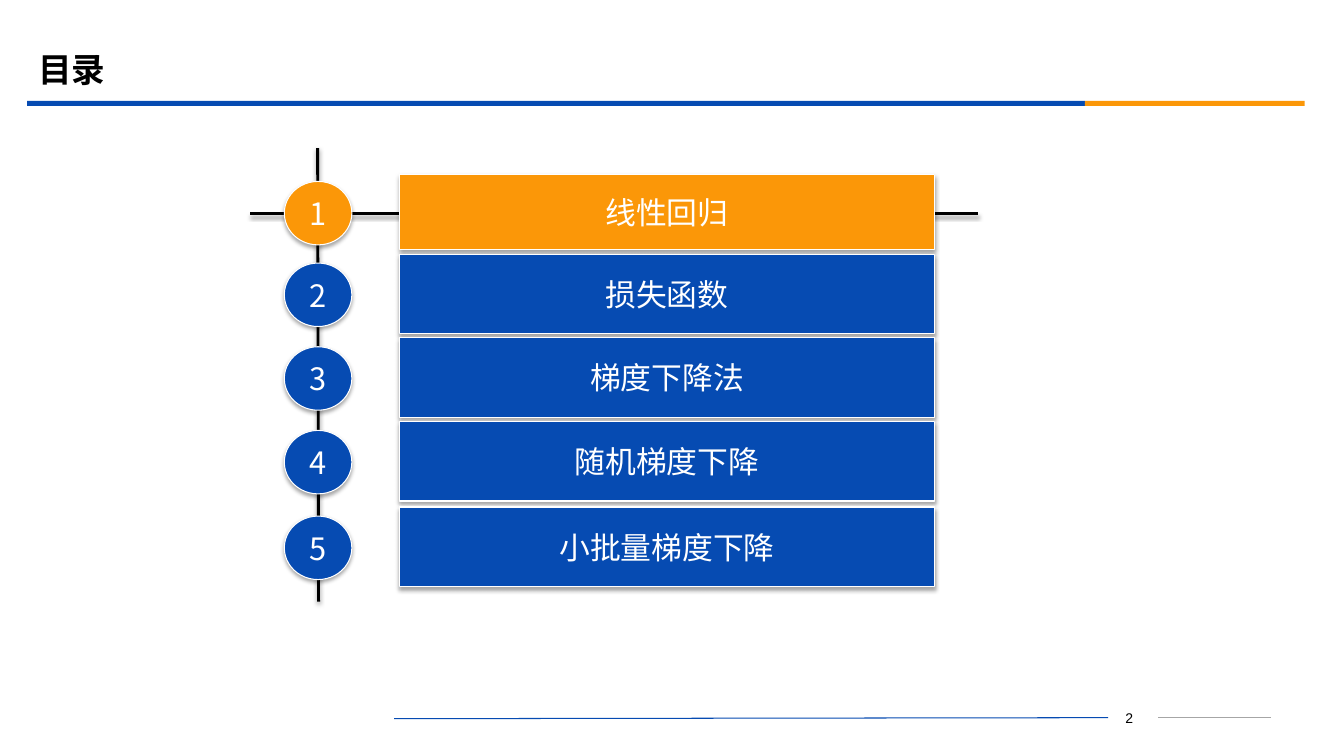
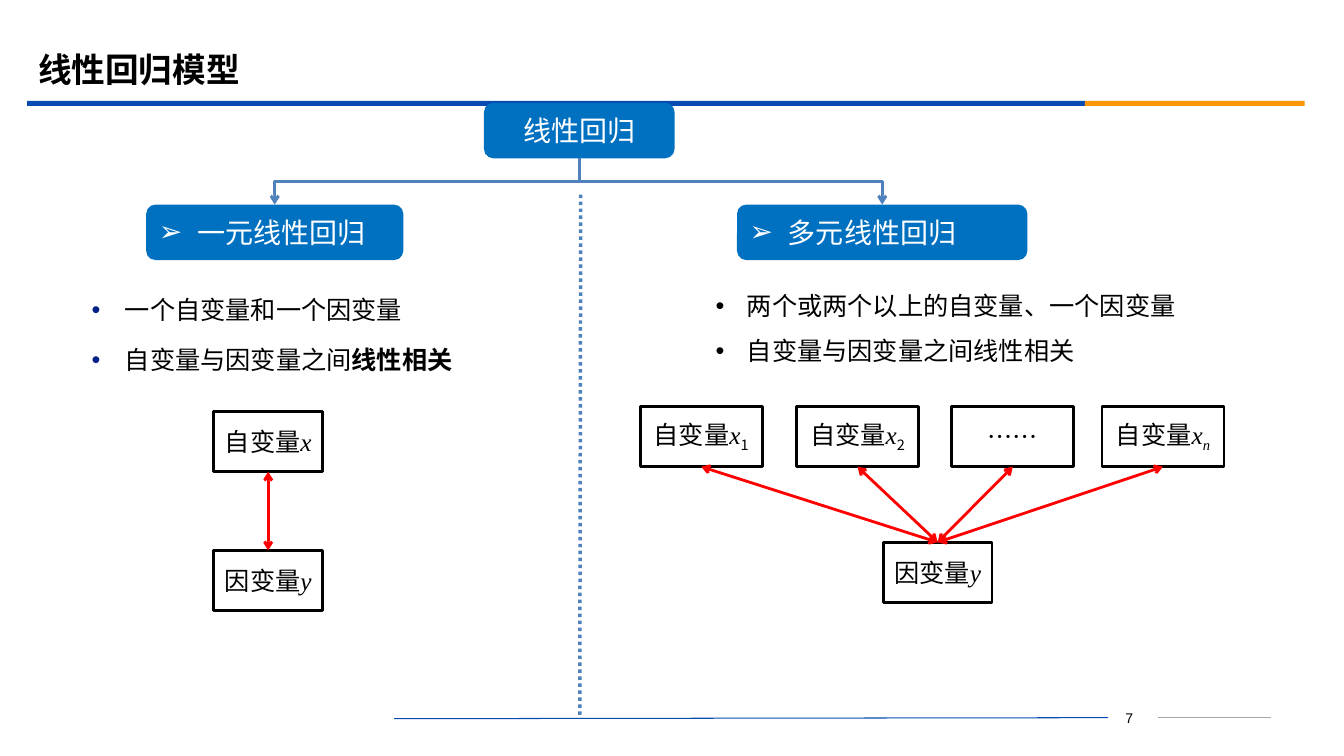
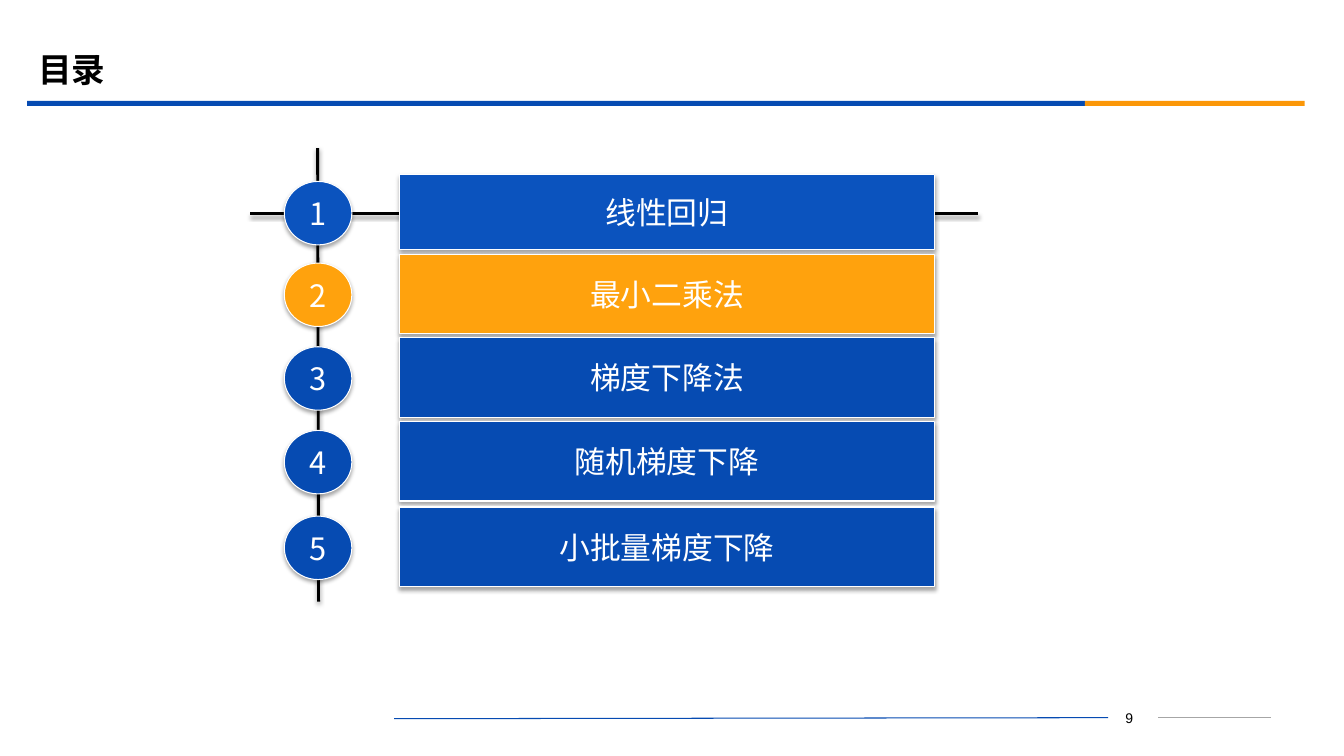
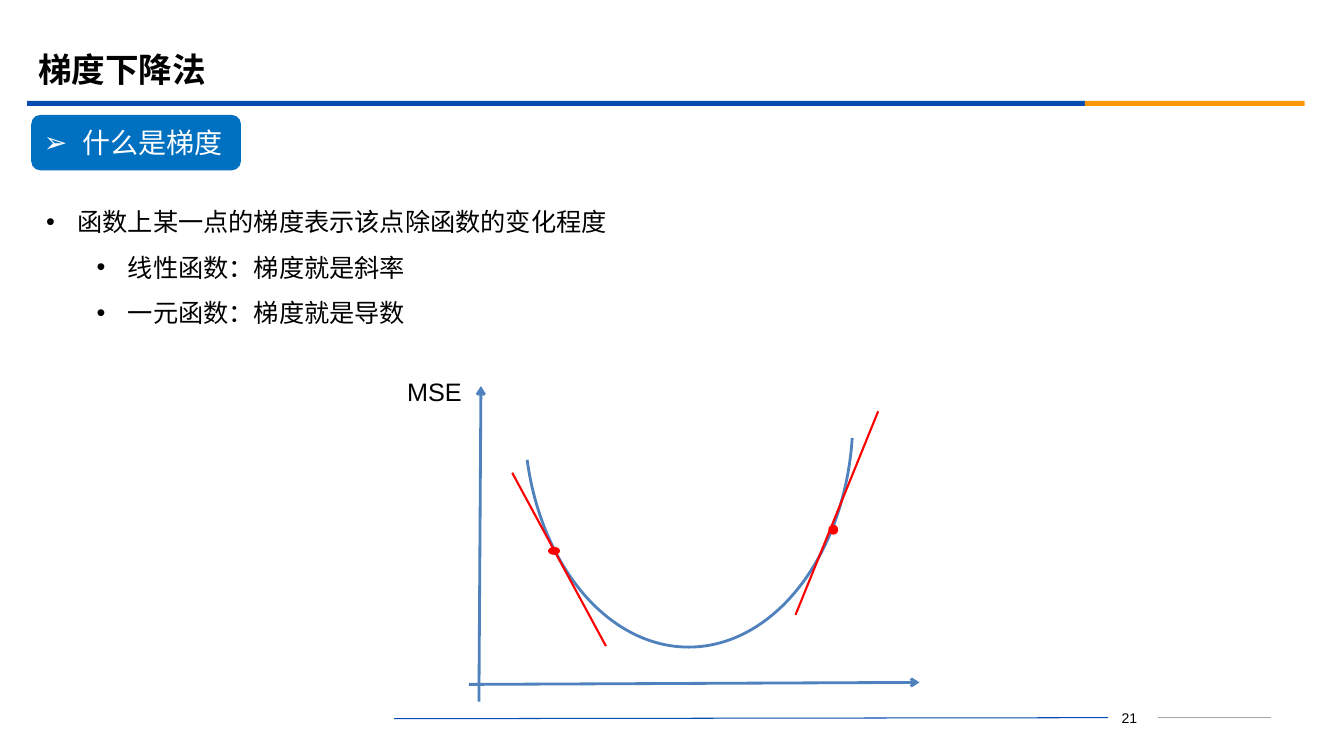
from dataclasses import dataclass
from typing import Optional

from lxml.etree import SubElement
from pptx import Presentation
from pptx.dml.color import RGBColor
from pptx.enum.dml import MSO_LINE
from pptx.enum.shapes import MSO_CONNECTOR, MSO_SHAPE
from pptx.enum.text import MSO_ANCHOR, PP_ALIGN
from pptx.oxml.ns import qn
from pptx.util import Emu, Pt

PX = 9144  # EMU; 100 px to the inch
POINT = 12700

BLUE, ORANGE = "064BB2", "FB9708"
BRIGHT_BLUE, BRIGHT_ORANGE = "0B53BE", "FFA20D"
HEADING_BLUE, CURVE_BLUE, BULLET_BLUE = "0070C0", "4F81BD", "032089"
BLACK, WHITE, RED, GREY = "000000", "FFFFFF", "FF0000", "A6A6A6"
SANS, SERIF, LATIN, TITLE_FONT = "Noto Sans CJK SC", "Times New Roman", "Arial", "Montserrat"


@dataclass(frozen=True)
class Span:
    text: str
    font: str = SANS
    size: int = 18
    color: str = BLACK
    bold: bool = False
    italic: bool = False
    subscript: bool = False


@dataclass(frozen=True)
class Para:
    spans: tuple[Span, ...]
    align: PP_ALIGN = PP_ALIGN.LEFT
    level: int = 0
    margin: int = 0
    hanging: int = 0
    bullet: str = ""
    bullet_color: str = ""
    line_spacing: float = 1.0
    space_before: float = 0


@dataclass(frozen=True)
class Box:
    left: int
    top: int
    width: int
    height: int

    def emu(self) -> tuple[Emu, ...]:
        return tuple(px(n) for n in (self.left, self.top, self.width, self.height))


@dataclass(frozen=True)
class Shadow:
    distance: float
    opacity: int


@dataclass(frozen=True)
class Stroke:
    color: str
    width: float
    dash: Optional[MSO_LINE] = None
    head: bool = False
    tail: bool = False


@dataclass(frozen=True)
class Topic:
    name: str
    color: str = BLUE


SHAPE_SHADOW = Shadow(1.8, 35)
LINE_SHADOW = Shadow(1.6, 38)
THIN_WHITE = Stroke(WHITE, 0.75)
FRAME = Stroke(BLACK, 2)
DOUBLE_ARROW = Stroke(RED, 2, head=True, tail=True)
ARROW = Stroke(CURVE_BLUE, 2, tail=True)
TANGENT = Stroke(RED, 1.5)


def px(length: int) -> Emu:
    return Emu(length * PX)


def rgb(color: str) -> RGBColor:
    return RGBColor.from_string(color)


def write(shape, paras: list[Para], anchor=MSO_ANCHOR.TOP, wrap: bool = True) -> None:
    frame = shape.text_frame
    frame.word_wrap = wrap
    frame.vertical_anchor = anchor
    for index, item in enumerate(paras):
        para = frame.add_paragraph() if index else frame.paragraphs[0]
        para.alignment = item.align
        para.level = item.level
        para.line_spacing = item.line_spacing
        para.space_before = Pt(item.space_before)
        if item.bullet:
            add_bullet(para, item)
        for span in item.spans:
            add_span(para, span)


def add_bullet(para, item: Para) -> None:
    properties = para._p.get_or_add_pPr()
    properties.set("marL", str(px(item.margin)))
    properties.set("indent", str(-px(item.hanging)))
    if item.bullet_color:
        color = SubElement(properties, qn("a:buClr"))
        SubElement(color, qn("a:srgbClr"), val=item.bullet_color)
    SubElement(properties, qn("a:buFont"), typeface=LATIN)
    SubElement(properties, qn("a:buChar"), char=item.bullet)


def add_span(para, span: Span) -> None:
    run = para.add_run()
    run.text = span.text
    font = run.font
    font.name, font.size = span.font, Pt(span.size)
    font.bold, font.italic = span.bold, span.italic
    font.color.rgb = rgb(span.color)
    properties = run._r.get_or_add_rPr()
    SubElement(properties, qn("a:ea"), typeface=SANS)
    if span.subscript:
        properties.set("baseline", "-25000")


def add_shadow(effects, shadow: Shadow) -> None:
    outer = SubElement(effects, qn("a:outerShdw"), blurRad=str(int(3.1 * POINT)),
                       dist=str(int(shadow.distance * POINT)), dir="5400000", rotWithShape="0")
    color = SubElement(outer, qn("a:srgbClr"), val=BLACK)
    SubElement(color, qn("a:alpha"), val=str(shadow.opacity * 1000))


def add_shape(page, kind: MSO_SHAPE, box: Box, fill: str = "",
              stroke: Optional[Stroke] = None, shadow: Optional[Shadow] = None):
    shape = page.shapes.add_shape(kind, *box.emu())
    shape.shadow.inherit = False
    if fill:
        shape.fill.solid()
        shape.fill.fore_color.rgb = rgb(fill)
    else:
        shape.fill.background()
    if stroke:
        shape.line.color.rgb = rgb(stroke.color)
        shape.line.width = Pt(stroke.width)
    else:
        shape.line.fill.background()
    if shadow:
        add_shadow(shape._element.spPr.find(qn("a:effectLst")), shadow)
    return shape


def add_text(page, box: Box, paras: list[Para], anchor=MSO_ANCHOR.TOP) -> None:
    write(page.shapes.add_textbox(*box.emu()), paras, anchor)


def style_connector(connector, stroke: Stroke, shadow: Optional[Shadow] = None) -> None:
    connector.line.color.rgb = rgb(stroke.color)
    connector.line.width = Pt(stroke.width)
    if stroke.dash:
        connector.line.dash_style = stroke.dash
    properties = connector._element.spPr
    outline = properties.find(qn("a:ln"))
    for wanted, tag in ((stroke.head, "a:headEnd"), (stroke.tail, "a:tailEnd")):
        if wanted:
            SubElement(outline, qn(tag), type="arrow")
    effects = SubElement(properties, qn("a:effectLst"))
    if shadow:
        add_shadow(effects, shadow)


def add_line(page, start: tuple[int, int], end: tuple[int, int], stroke: Stroke,
             shadow: Optional[Shadow] = None) -> None:
    ends = [px(n) for n in (*start, *end)]
    connector = page.shapes.add_connector(MSO_CONNECTOR.STRAIGHT, *ends)
    style_connector(connector, stroke, shadow)


def join_down(page, upper, lower, stroke: Stroke, kind=MSO_CONNECTOR.STRAIGHT):
    """Join the bottom of one shape to the top of another."""
    connector = page.shapes.add_connector(kind, 0, 0, 0, 0)
    connector.begin_connect(upper, 2)
    connector.end_connect(lower, 0)
    style_connector(connector, stroke)
    return connector


def branch_down(page, parent, child) -> None:
    """Elbow that leaves the parent downwards: a quarter turn of the sideways one."""
    connector = join_down(page, parent, child, ARROW, MSO_CONNECTOR.ELBOW)
    begin_x, begin_y = connector.begin_x, connector.begin_y
    end_x, end_y = connector.end_x, connector.end_y
    drop, reach = end_y - begin_y, abs(end_x - begin_x)
    connector.left = Emu((begin_x + end_x - drop) // 2)
    connector.top = Emu((begin_y + end_y - reach) // 2)
    connector.width, connector.height = Emu(drop), Emu(reach)
    transform = connector._element.spPr.find(qn("a:xfrm"))
    transform.set("rot", "5400000")
    transform.set("flipH", "0")
    transform.set("flipV", "1" if end_x > begin_x else "0")


def add_page(deck, title: str, number: int):
    page = deck.slides.add_slide(deck.slide_layouts[6])
    add_shape(page, MSO_SHAPE.RECTANGLE, Box(27, 100, 1049, 5), BLUE)
    add_shape(page, MSO_SHAPE.RECTANGLE, Box(1076, 100, 218, 5), ORANGE)
    add_line(page, (391, 713), (1099, 712), Stroke(BLUE, 0.75))
    add_line(page, (1149, 712), (1261, 712), Stroke(GREY, 0.75))
    add_text(page, Box(1089, 699, 62, 25),
             [Para((Span(str(number), LATIN, 10),), PP_ALIGN.CENTER)])
    add_text(page, Box(28, 39, 1200, 58),
             [Para((Span(title, TITLE_FONT, 24, bold=True),))], MSO_ANCHOR.MIDDLE)
    return page


def add_heading(page, box: Box, text: str, bullet: bool = True):
    shape = add_shape(page, MSO_SHAPE.ROUNDED_RECTANGLE, box, HEADING_BLUE)
    spans = (Span(text, SERIF, 20, WHITE),)
    if bullet:
        para = Para(spans, margin=38, hanging=38, bullet="➢")
    else:
        para = Para(spans, PP_ALIGN.CENTER)
    write(shape, [para], MSO_ANCHOR.MIDDLE)
    return shape


def add_variable(page, box: Box, *spans: Span):
    shape = add_shape(page, MSO_SHAPE.RECTANGLE, box, stroke=FRAME)
    write(shape, [Para(spans, PP_ALIGN.CENTER)], MSO_ANCHOR.MIDDLE)
    return shape


def symbol(letter: str, subscript: bool = False) -> Span:
    return Span(letter, SERIF, italic=True, subscript=subscript)


def bullet_para(text: str, level: int = 1) -> Para:
    return Para((Span(text, LATIN),), level=level, margin=31 + 50 * level, hanging=31,
                bullet="•", line_spacing=1.5)


def contents_page(deck, number: int, topics: list[Topic]) -> None:
    page = add_page(deck, "目录", number)
    add_line(page, (315, 147), (316, 597), FRAME, LINE_SHADOW)
    add_line(page, (248, 212), (970, 212), FRAME, LINE_SHADOW)
    row_middles = (211, 292, 375, 458, 543)
    for index, (topic, middle) in enumerate(zip(topics, row_middles), start=1):
        height = 75 if index == 1 else 79
        bar = Box(396, middle - (height + 1) // 2, 531, height)
        badge = Box(282, middle - 31, 67, 63)
        for kind, box, text in ((MSO_SHAPE.ACTION_BUTTON_CUSTOM, bar, topic.name),
                                (MSO_SHAPE.OVAL, badge, str(index))):
            shape = add_shape(page, kind, box, topic.color, THIN_WHITE, SHAPE_SHADOW)
            label = Para((Span(text, SANS, 22, WHITE),), PP_ALIGN.CENTER)
            write(shape, [label], MSO_ANCHOR.MIDDLE, wrap=False)


def model_page(deck) -> None:
    page = add_page(deck, "线性回归模型", 7)

    def model_point(*spans: Span) -> Para:
        return Para(spans, level=1, margin=86, hanging=33, bullet="•",
                    bullet_color=BULLET_BLUE, line_spacing=1.5, space_before=3.6)

    add_text(page, Box(28, 272, 758, 121), [
        model_point(Span("一个自变量和一个因变量")),
        model_point(Span("自变量与因变量之间"), Span("线性相关", bold=True)),
    ])
    add_text(page, Box(650, 268, 626, 125), [
        bullet_para("两个或两个以上的自变量、一个因变量"),
        bullet_para("自变量与因变量之间线性相关"),
    ])
    add_line(page, (576, 193), (575, 711), Stroke(CURVE_BLUE, 2.5, MSO_LINE.ROUND_DOT))

    root = add_heading(page, Box(480, 102, 189, 55), "线性回归", bullet=False)
    single = add_heading(page, Box(145, 203, 255, 55), "一元线性回归")
    multiple = add_heading(page, Box(731, 203, 288, 55), "多元线性回归")
    for child in (multiple, single):
        branch_down(page, root, child)

    independent, dependent = Span("自变量"), Span("因变量")
    cause = add_variable(page, Box(212, 408, 108, 60), independent, symbol("x"))
    effect = add_variable(page, Box(212, 546, 108, 60), dependent, symbol("y"))
    join_down(page, cause, effect, DOUBLE_ARROW)

    result = add_variable(page, Box(876, 538, 108, 60), dependent, symbol("y"))
    inputs = (
        (635, (independent, symbol("x"), Span("1", subscript=True))),
        (790, (independent, symbol("x"), Span("2", subscript=True))),
        (944, (Span("……"),)),
        (1093, (independent, symbol("x"), symbol("n", subscript=True))),
    )
    for left, spans in inputs:
        variable = add_variable(page, Box(left, 403, 121, 60), *spans)
        join_down(page, variable, result, DOUBLE_ARROW)


def gradient_page(deck) -> None:
    page = add_page(deck, "梯度下降法", 21)
    add_heading(page, Box(31, 114, 208, 55), "什么是梯度")
    add_text(page, Box(36, 185, 845, 146), [
        bullet_para("函数上某一点的梯度表示该点除函数的变化程度", level=0),
        bullet_para("线性函数：梯度就是斜率"),
        bullet_para("一元函数：梯度就是导数"),
    ])
    add_line(page, (465, 679), (912, 677), ARROW)
    add_line(page, (475, 696), (477, 383), ARROW)
    add_text(page, Box(394, 368, 84, 40), [Para((Span("MSE", LATIN),))])
    curve = add_shape(page, MSO_SHAPE.ARC, Box(520, 185, 326, 457), stroke=Stroke(CURVE_BLUE, 2))
    curve.adjustments[0] = 4.43
    curve.adjustments[1] = 99.04
    tangents = (
        (Box(545, 544, 9, 5), (508, 469), (601, 641)),
        (Box(823, 522, 7, 7), (871, 408), (789, 610)),
    )
    for point, start, end in tangents:
        add_shape(page, MSO_SHAPE.OVAL, point, RED, Stroke(RED, 2))
        add_line(page, start, end, TANGENT)


def main() -> None:
    deck = Presentation()
    deck.slide_width, deck.slide_height = px(1333), px(750)
    later_topics = [Topic("梯度下降法"), Topic("随机梯度下降"), Topic("小批量梯度下降")]
    contents_page(deck, 2, [Topic("线性回归", ORANGE), Topic("损失函数"), *later_topics])
    model_page(deck)
    contents_page(deck, 9, [Topic("线性回归", BRIGHT_BLUE),
                            Topic("最小二乘法", BRIGHT_ORANGE), *later_topics])
    gradient_page(deck)
    deck.save("out.pptx")


if __name__ == "__main__":
    main()
